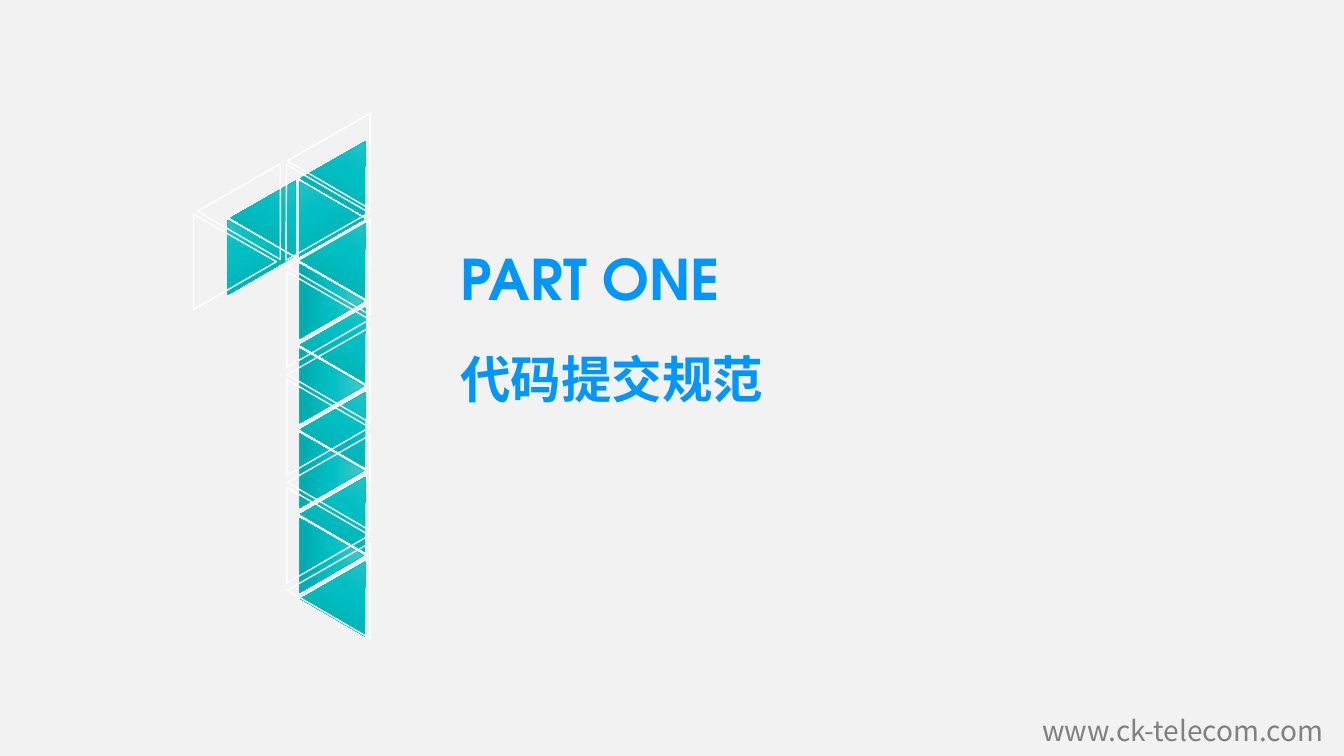
import copy

import pptx
import pptx.dml.color
import pptx.enum.shapes
import pptx.enum.text
import pptx.oxml.ns
import pptx.util
from pptx.util import Inches

BLUE, GREY, WHITE = "0096FF", "808080", "FFFFFF"
BACKGROUND = "F2F2F2"
TEAL = "00BFC3"
TEAL_STOPS = ("4BC7CB", TEAL, "00AAAD")
HEADING_FONT, FOOTER_FONT = "TeX Gyre Adventor", "Noto Sans CJK SC"


def colour(value):
    return pptx.dml.color.RGBColor.from_string(value)


class SectionSlide:
    def __init__(self, deck):
        self.page = deck.slides.add_slide(deck.slide_layouts[5])
        self.page.background.fill.solid()
        self.page.background.fill.fore_color.rgb = colour(BACKGROUND)
        self.group = self.page.shapes.add_group_shape()

    def set_text(self, box, text, size, font, shade, bold=False, spacing=None, wrap=True):
        frame = box.text_frame
        frame.text = text
        frame.word_wrap = wrap
        frame.auto_size = pptx.enum.text.MSO_AUTO_SIZE.NONE
        frame.vertical_anchor = pptx.enum.text.MSO_ANCHOR.MIDDLE
        para = frame.paragraphs[0]
        para.alignment = pptx.enum.text.PP_ALIGN.LEFT
        para.line_spacing = spacing
        para.font.name = font
        para.font.size = pptx.util.Pt(size)
        para.font.bold = bold
        para.font.color.rgb = colour(shade)

    def title(self, left, top, width, height, text, size, **style):
        box = self.page.shapes.title
        box.left, box.top = Inches(left), Inches(top)
        box.width, box.height = Inches(width), Inches(height)
        self.set_text(box, text, size, **style)

    def text(self, left, top, width, height, text, size, **style):
        box = self.page.shapes.add_textbox(
            Inches(left), Inches(top), Inches(width), Inches(height))
        self.set_text(box, text, size, **style)

    def triangle(self, left, top, width, height, rotation, filled):
        shape = self.group.shapes.add_shape(
            pptx.enum.shapes.MSO_SHAPE.ISOSCELES_TRIANGLE,
            Inches(left), Inches(top), Inches(width), Inches(height))
        shape.shadow.inherit = False
        shape.rotation = rotation
        shape.line.color.rgb = colour(TEAL if filled else WHITE)
        shape.line.width = pptx.util.Pt(0.5 if filled else 1)
        if filled:
            self.shade(shape)
        else:
            shape.fill.background()

    def shade(self, shape):
        shape.fill.gradient()
        shape.fill.gradient_angle = 270
        # A new gradient has two stops; the third is added in the XML
        stops = next(shape._element.iter(pptx.oxml.ns.qn("a:gsLst")))
        stops.append(copy.deepcopy(stops[-1]))
        for index, stop in enumerate(shape.fill.gradient_stops):
            stop.position = index / 2
            stop.color.rgb = colour(TEAL_STOPS[index])

    def numeral(self, width, height, arm, right, left, pitch, pairs, filled):
        for x, y, rotation in arm:
            self.triangle(x, y, width, height, rotation, filled)
        # The stem alternates right and left triangles and ends on a right one
        for row in range(pairs + 1):
            self.triangle(right[0], right[1] + row * pitch, width, height, 30.2, filled)
            if row < pairs:
                self.triangle(left[0], left[1] + row * pitch, width, height, 90, filled)


def main():
    deck = pptx.Presentation()
    deck.slide_width, deck.slide_height = Inches(13.33), Inches(7.5)
    slide = SectionSlide(deck)

    # Headings
    heading = dict(font=HEADING_FONT, shade=BLUE, bold=True)
    slide.title(4.47, 2.46, 4.35, 0.68, "PART ONE", 40, spacing=0.9, **heading)
    slide.text(4.47, 3.29, 6.16, 0.74, "代码提交规范", 36, spacing=1.3, **heading)

    # Numeral 1: teal triangles, then the larger white outlines
    slide.numeral(
        0.74, 0.64,
        arm=[(2.05, 2.14, 329.9), (2.4, 1.75, 30.2), (2.76, 1.76, 330.2), (3.09, 1.36, 30.2)],
        right=(3.09, 2.17), left=(2.92, 2.67), pitch=0.84, pairs=4, filled=True)
    slide.numeral(
        0.95, 0.82,
        arm=[(1.65, 2.07, 329.9), (2.1, 1.57, 30.2), (2.57, 1.58, 330.2), (2.99, 1.07, 30.2)],
        right=(2.99, 2.12), left=(2.78, 2.76), pitch=1.07, pairs=3, filled=False)

    # Web address
    slide.text(10.24, 7.03, 3.04, 0.44, "www.ck-telecom.com", 20,
               font=FOOTER_FONT, shade=GREY, wrap=False)

    deck.save("out.pptx")


if __name__ == "__main__":
    main()
